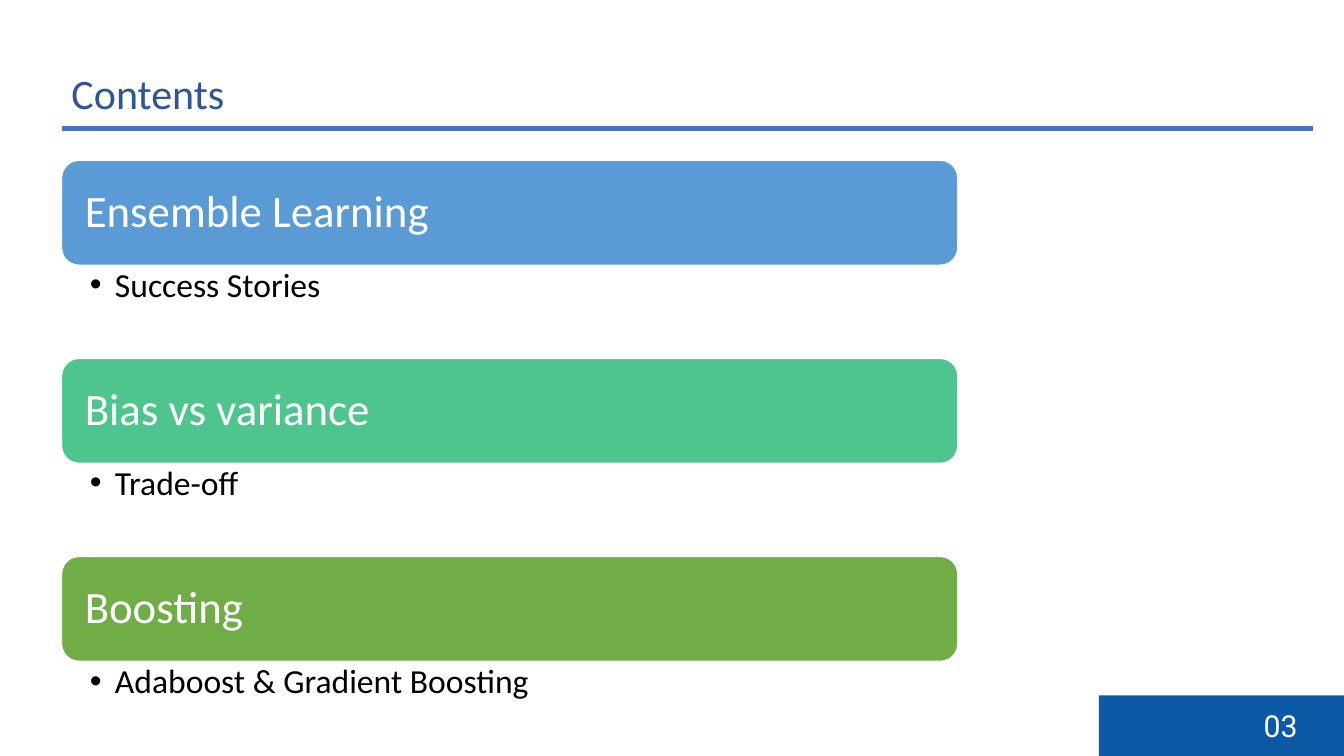
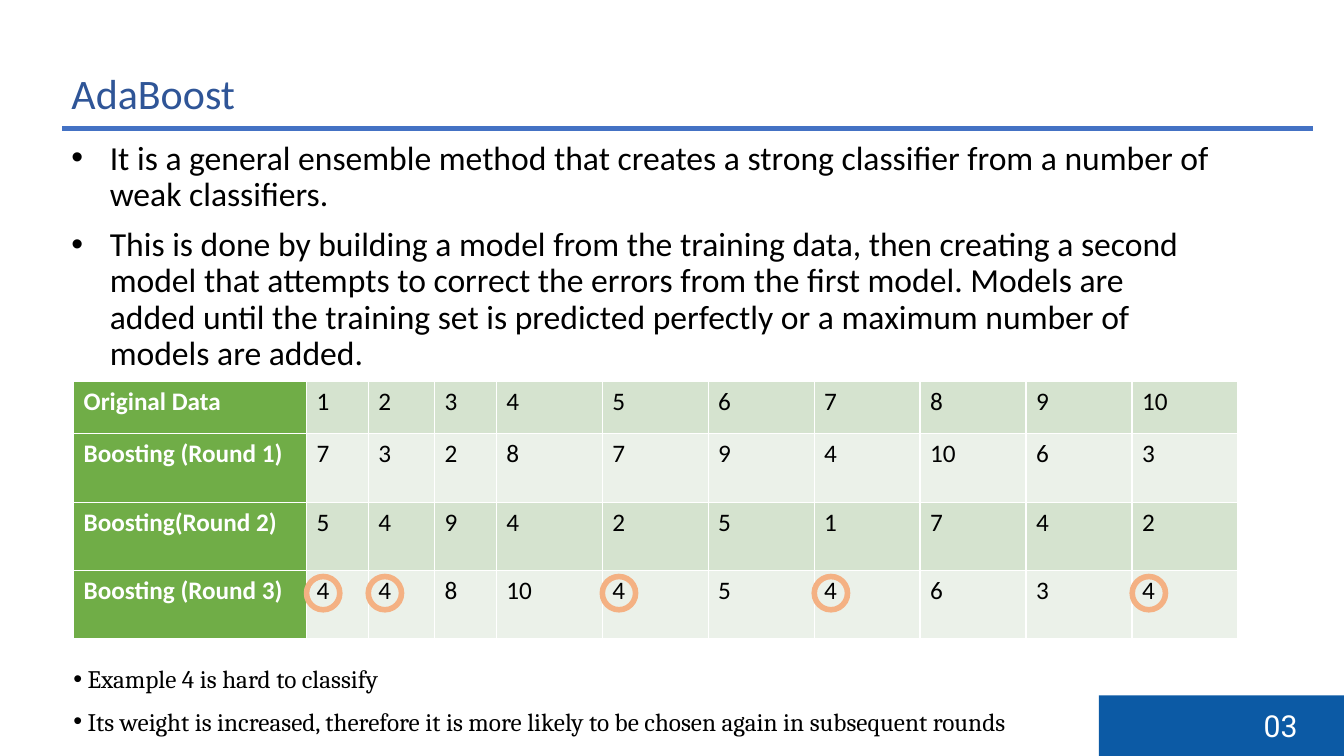
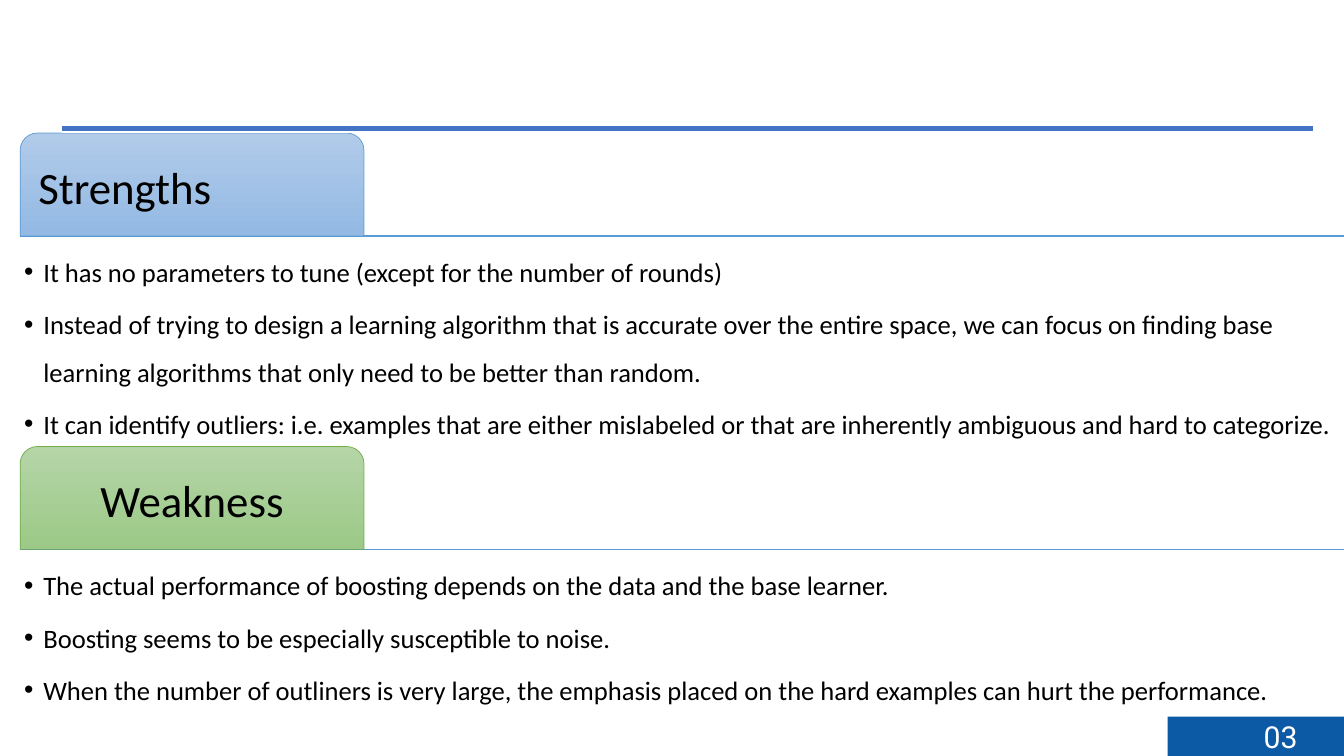
from dataclasses import dataclass

from lxml.etree import SubElement
from pptx import Presentation
from pptx.dml.color import RGBColor
from pptx.enum.shapes import MSO_CONNECTOR, MSO_SHAPE
from pptx.enum.text import MSO_ANCHOR, PP_ALIGN
from pptx.oxml.ns import qn
from pptx.util import Inches, Pt


@dataclass(frozen=True)
class Style:
    size: float
    color: str = "000000"
    font: str = "Calibri"
    bold: bool = False


@dataclass(frozen=True)
class Theme:
    white: str = "FFFFFF"
    footer: str = "0C5AA5"
    rule: str = "4472C4"
    blue: str = "5B9BD5"
    teal: str = "4DC58D"
    green: str = "70AD47"
    ring: str = "F4B183"
    blue_fade: tuple = ("B1CBE9", "93B9E4")
    green_fade: tuple = ("B5D5A7", "9CC987")
    row_bands: tuple = ("D5E3CF", "EBF1E9")
    title: Style = Style(30, "2F5597")
    page: Style = Style(21.6, "FFFFFF", "Roboto")
    topic: Style = Style(32, "FFFFFF")
    heading: Style = Style(32)
    body: Style = Style(24)
    points: Style = Style(19)
    row_label: Style = Style(18, "FFFFFF", bold=True)
    value: Style = Style(18)
    remark: Style = Style(18, font="Cambria")


@dataclass(frozen=True)
class Box:
    """An area in inches, divided by percentages of itself."""
    left: float
    top: float
    width: float
    height: float

    def share(self, left, top, width, height):
        return Box(self.left + self.width * left / 100, self.top + self.height * top / 100,
                   self.width * width / 100, self.height * height / 100)

    def split_rows(self, count, gap=0):
        height = (100 - gap * (count - 1)) / count
        return [self.share(0, i * (height + gap), 100, height) for i in range(count)]

    def emu(self):
        return [Inches(v) for v in (self.left, self.top, self.width, self.height)]


THEME = Theme()
SLIDE = Box(0, 0, 13.33, 7.5)
FOOTER = SLIDE.share(81.77, 92, 18.23, 8)
LOW_FOOTER = SLIDE.share(86.87, 94.8, 13.13, 5.2)


def rgb(color):
    return RGBColor.from_string(color)


def apply_style(paragraph, style):
    font = paragraph.font
    font.size, font.name, font.bold = Pt(style.size), style.font, style.bold
    font.color.rgb = rgb(style.color)


def add_bullet(paragraph, indent):
    properties = paragraph._p.get_or_add_pPr()
    properties.set("marL", str(Inches(indent)))
    properties.set("indent", str(-Inches(indent)))
    SubElement(properties, qn("a:buFont"), typeface="Arial")
    SubElement(properties, qn("a:buChar"), char="•")


def write(shape, lines, style, insets=(0.1, 0.05, 0.1, 0.05), anchor=MSO_ANCHOR.TOP,
          align=PP_ALIGN.LEFT, bullet=None, spacing=1.0, before=0, after=0):
    frame = shape.text_frame
    frame.word_wrap = True
    frame.vertical_anchor = anchor
    (frame.margin_left, frame.margin_top,
     frame.margin_right, frame.margin_bottom) = [Inches(v) for v in insets]
    for i, line in enumerate(lines):
        paragraph = frame.paragraphs[0] if i == 0 else frame.add_paragraph()
        paragraph.text = line
        paragraph.alignment = align
        paragraph.line_spacing = spacing
        if i and before:
            paragraph.space_before = Pt(before)
        if after:
            paragraph.space_after = Pt(after)
        if bullet:
            add_bullet(paragraph, bullet)
        apply_style(paragraph, style)


def add_text(slide, box, lines, style, **layout):
    write(slide.shapes.add_textbox(*box.emu()), lines, style, **layout)


def add_panel(slide, box, kind=MSO_SHAPE.RECTANGLE, fill=None, line=None, weight=1):
    """Draw a preset shape; a pair of colours as fill fades from top to bottom."""
    panel = slide.shapes.add_shape(kind, *box.emu())
    panel.shadow.inherit = False
    if fill is None:
        panel.fill.background()
    elif isinstance(fill, tuple):
        panel.fill.gradient()
        panel.fill.gradient_angle = 270
        for stop, color in zip(panel.fill.gradient_stops, fill):
            stop.color.rgb = rgb(color)
    else:
        panel.fill.solid()
        panel.fill.fore_color.rgb = rgb(fill)
    if line:
        panel.line.color.rgb = rgb(line)
        panel.line.width = Pt(weight)
    else:
        panel.line.fill.background()
    return panel


def add_divider(slide, box, color):
    """Draw a line along the top of the box."""
    left, top, width, _ = box.emu()
    divider = slide.shapes.add_connector(MSO_CONNECTOR.STRAIGHT, left, top, left + width, top)
    divider.line.color.rgb = rgb(color)
    divider.line.width = Pt(1)
    SubElement(divider._element.spPr, qn("a:effectLst"))


def add_frame(slide, title=None, footer=FOOTER):
    """Place what every slide shares: title, rule and page number."""
    if title:
        add_text(slide, SLIDE.share(4.58, 8.27, 50, 8.13), [title], THEME.title)
    add_panel(slide, SLIDE.share(4.58, 16.53, 93.17, 0.93), fill=THEME.rule, line=THEME.white)
    band = add_panel(slide, footer, fill=THEME.footer)
    write(band, ["03"], THEME.page, insets=(0, 0, 0.46, 0),
          anchor=MSO_ANCHOR.MIDDLE, align=PP_ALIGN.RIGHT)


def add_topic(slide, box, name, detail, color):
    bar = add_panel(slide, box.share(0, 0, 100, 53), MSO_SHAPE.ROUNDED_RECTANGLE,
                    color, THEME.white)
    write(bar, [name], THEME.topic, insets=(0.18, 0.13, 0.18, 0.13),
          anchor=MSO_ANCHOR.MIDDLE, spacing=0.9)
    add_text(slide, box.share(0, 53, 100, 47), [detail], THEME.body,
             insets=(0.28, 0.03, 0.19, 0.03), bullet=0.25, spacing=0.9)


def add_section(slide, box, heading, align, points, fade, edge):
    body = box.share(0, 33.33, 100, 66.67)
    add_divider(slide, body, THEME.blue)
    tab = add_panel(slide, box.share(0, 0, 25.97, 33.33), MSO_SHAPE.ROUND_2_SAME_RECTANGLE,
                    fade, edge, 0.5)
    write(tab, [heading], THEME.heading, insets=(0.13, 0.12, 0.13, 0.07),
          anchor=MSO_ANCHOR.MIDDLE, align=align, spacing=0.9)
    add_text(slide, body, points, THEME.points, insets=(0.04,) * 4,
             bullet=0.19, spacing=1.5, after=3)


def add_borders(cell, color):
    properties = cell._tc.get_or_add_tcPr()
    for side in ("a:lnL", "a:lnR", "a:lnT", "a:lnB"):
        border = SubElement(properties, qn(side), w=str(Pt(1)))
        SubElement(SubElement(border, qn("a:solidFill")), qn("a:srgbClr"), val=color)


def add_rounds_table(slide, box, rounds, column_widths, row_heights, hard_example):
    """Tabulate the samples and ring the hard example in the last round."""
    table = slide.shapes.add_table(len(rounds), len(column_widths), *box.emu()).table
    for column, width in zip(table.columns, column_widths):
        column.width = Inches(box.width * width / 100)
    for r, (label, samples) in enumerate(rounds):
        table.rows[r].height = Inches(box.height * row_heights[r] / 100)
        for c, entry in enumerate([label, *samples]):
            cell = table.cell(r, c)
            cell.text = str(entry)
            apply_style(cell.text_frame.paragraphs[0], THEME.value if c else THEME.row_label)
            add_borders(cell, THEME.white)
            cell.fill.solid()
            cell.fill.fore_color.rgb = rgb(THEME.row_bands[r % 2] if c else THEME.green)

    ring_size = 0.33
    ring_top = box.top + box.height * sum(row_heights[:-1]) / 100 + 0.06
    for c, sample in enumerate(rounds[-1][1], start=1):
        if sample == hard_example:
            ring_left = box.left + box.width * sum(column_widths[:c]) / 100
            add_panel(slide, Box(ring_left, ring_top, ring_size, ring_size),
                      MSO_SHAPE.OVAL, line=THEME.ring, weight=4)


def contents_slide(slide):
    add_frame(slide, "Contents")
    topics = [
        ("Ensemble Learning", "Success Stories", THEME.blue),
        ("Bias vs variance", "Trade-off", THEME.teal),
        ("Boosting", "Adaboost & Gradient Boosting", THEME.green),
    ]
    area = SLIDE.share(4.58, 21.2, 66.69, 78.6)
    for box, topic in zip(area.split_rows(len(topics)), topics):
        add_topic(slide, box, *topic)


def adaboost_slide(slide):
    add_frame(slide, "AdaBoost")
    add_text(slide, SLIDE.share(4.58, 18, 86.27, 32), [
        "It is a general ensemble method that creates a strong classifier from a number of "
        "weak classifiers.",
        "This is done by building a model from the training data, then creating a second model "
        "that attempts to correct the errors from the first model. Models are added until the "
        "training set is predicted perfectly or a maximum number of models are added.",
    ], THEME.body, bullet=0.38, spacing=0.9, before=10)
    rounds = [
        ("Original Data", range(1, 11)),
        ("Boosting (Round 1)", [7, 3, 2, 8, 7, 9, 4, 10, 6, 3]),
        ("Boosting(Round 2)", [5, 4, 9, 4, 2, 5, 1, 7, 4, 2]),
        ("Boosting (Round 3)", [4, 4, 8, 10, 4, 5, 4, 6, 3, 4]),
    ]
    add_rounds_table(slide, SLIDE.share(5.48, 50.4, 86.65, 34.1), rounds,
                     column_widths=[20, 5.3, 5.7, 5.3] + [9.1] * 7,
                     row_heights=[20.5] + [26.5] * 3, hard_example=4)
    add_text(slide, SLIDE.share(4.73, 87.07, 85.75, 11.47), [
        "Example 4 is hard to classify",
        "Its weight is increased, therefore it is more likely to be chosen again in "
        "subsequent rounds",
    ], THEME.remark, bullet=0.14, before=9)


def evaluation_slide(slide):
    sections = [
        ("Strengths", PP_ALIGN.LEFT, [
            "It has no parameters to tune (except for the number of rounds)",
            "Instead of trying to design a learning algorithm that is accurate over the entire "
            "space, we can focus on finding base learning algorithms that only need to be "
            "better than random.",
            "It can identify outliers: i.e. examples that are either mislabeled or that are "
            "inherently ambiguous and hard to categorize.",
        ], THEME.blue_fade, THEME.blue),
        ("Weakness", PP_ALIGN.CENTER, [
            "The actual performance of boosting depends on the data and the base learner.",
            "Boosting seems to be especially susceptible to noise.",
            "When the number of outliners is very large, the emphasis placed on the hard "
            "examples can hurt the performance.",
        ], THEME.green_fade, THEME.green),
    ]
    area = SLIDE.share(1.5, 17.6, 98.5, 82.27)
    for box, section in zip(area.split_rows(len(sections), gap=0.8), sections):
        add_section(slide, box, *section)
    add_frame(slide, footer=LOW_FOOTER)


def main():
    deck = Presentation()
    deck.slide_width, deck.slide_height = Inches(SLIDE.width), Inches(SLIDE.height)
    for build in (contents_slide, adaboost_slide, evaluation_slide):
        build(deck.slides.add_slide(deck.slide_layouts[6]))
    deck.save("out.pptx")


if __name__ == "__main__":
    main()
